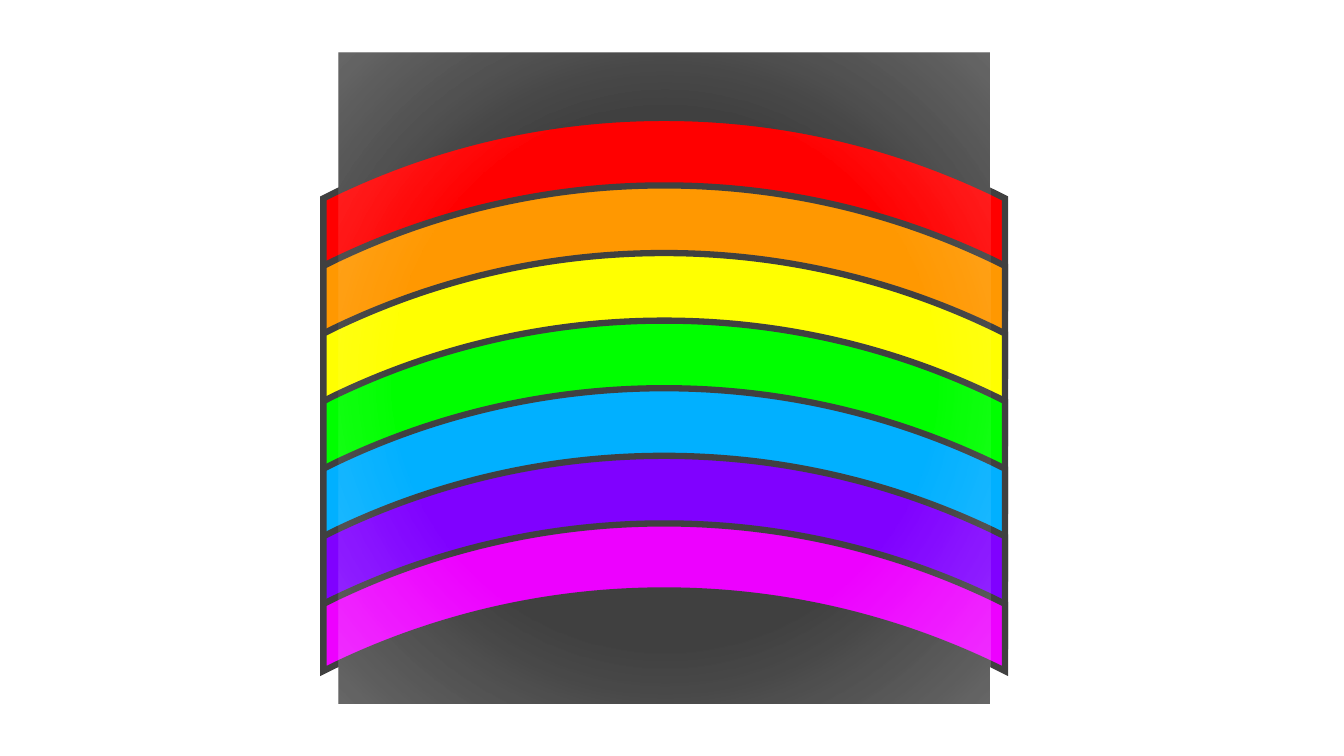
from dataclasses import dataclass

from lxml import etree
from pptx import Presentation
from pptx import util as u
from pptx.dml.color import RGBColor
from pptx.enum import shapes
from pptx.oxml import ns, parse_xml

DARK = RGBColor(0x40, 0x40, 0x40)
RED = RGBColor(0xFF, 0x00, 0x00)
ORANGE = RGBColor(0xFF, 0x98, 0x01)
YELLOW = RGBColor(0xFF, 0xFF, 0x01)
GREEN = RGBColor(0x00, 0xFF, 0x00)
BLUE = RGBColor(0x01, 0xB0, 0xFF)
VIOLET = RGBColor(0x80, 0x01, 0xFF)
PINK = RGBColor(0xED, 0x01, 0xFF)

Point = tuple[float, float]

# Right half of a band in cm from its apex, curve control points included
UPPER: list[Point] = [(0, 0), (2.97, 0), (5.79, 0.68), (8.31, 1.89), (8.59, 2.03)]
DEEP: list[Point] = [(8.59, 4.75), (7.82, 4.39), (5.44, 3.3), (2.79, 2.72), (0, 2.72)]
THIN: list[Point] = [(x, y + 1.69) for x, y in reversed(UPPER)]
CURVES = (0, 6, 9, 15)  # segments at which a run of three forms one curve

MIDDLE = 16.74
TOP = 2.97
SPAN = 10.22  # first apex to last apex

GLOW = f"""<a:gradFill {ns.nsdecls("a")} rotWithShape="1"><a:gsLst>
<a:gs pos="0"><a:srgbClr val="FFFFFF"><a:alpha val="0"/></a:srgbClr></a:gs>
<a:gs pos="59000"><a:srgbClr val="FFFFFF"><a:alpha val="0"/></a:srgbClr></a:gs>
<a:gs pos="100000"><a:srgbClr val="FFFFFF"><a:alpha val="20000"/></a:srgbClr></a:gs>
</a:gsLst><a:path path="circle">
<a:fillToRect l="50000" t="50000" r="50000" b="50000"/></a:path></a:gradFill>"""


@dataclass
class Band:
    color: RGBColor
    lower: list[Point]


BANDS = [Band(c, DEEP) for c in (RED, ORANGE, YELLOW, GREEN, BLUE, VIOLET)]
BANDS.append(Band(PINK, THIN))


def bend(shape) -> None:
    """Join each run of three line segments into one cubic curve."""
    lines = list(shape._element.iter(ns.qn("a:lnTo")))
    for first in CURVES:
        curve = etree.Element(ns.qn("a:cubicBezTo"))
        lines[first].addprevious(curve)
        for line in lines[first:first + 3]:
            curve.append(line[0])
            line.getparent().remove(line)


def draw_band(group, band: Band, top: float) -> None:
    half = UPPER + band.lower
    ring = half + [(-x, y) for x, y in reversed(half[:-1])]
    points = [(u.Cm(MIDDLE + x), u.Cm(top + y)) for x, y in ring]
    builder = group.shapes.build_freeform(*points[0])
    builder.add_line_segments(points[1:-1] + points[:1], close=True)
    shape = builder.convert_to_shape()
    bend(shape)
    shape.shadow.inherit = False
    shape.fill.solid()
    shape.fill.fore_color.rgb = band.color
    shape.line.color.rgb = DARK
    shape.line.width = u.Pt(4.5)
    miter = etree.SubElement(shape.line._get_or_add_ln(), ns.qn("a:miter"))
    miter.set("lim", "800000")


def add_square(slide):
    shape = slide.shapes.add_shape(
        shapes.MSO_SHAPE.RECTANGLE, u.Cm(8.53), u.Cm(1.32), u.Cm(16.42), u.Cm(16.42))
    shape.shadow.inherit = False
    shape.line.fill.background()
    shape.fill.solid()
    shape.fill.fore_color.rgb = DARK
    return shape


def main() -> None:
    deck = Presentation()
    deck.slide_width, deck.slide_height = u.Cm(33.87), u.Cm(19.05)
    slide = deck.slides.add_slide(deck.slide_layouts[6])
    add_square(slide)
    group = slide.shapes.add_group_shape()
    for i, band in enumerate(BANDS):
        draw_band(group, band, TOP + i * SPAN / (len(BANDS) - 1))
    cover = add_square(slide)._element.spPr
    cover.replace(cover.find(ns.qn("a:solidFill")), parse_xml(GLOW))
    deck.save("out.pptx")


if __name__ == "__main__":
    main()
